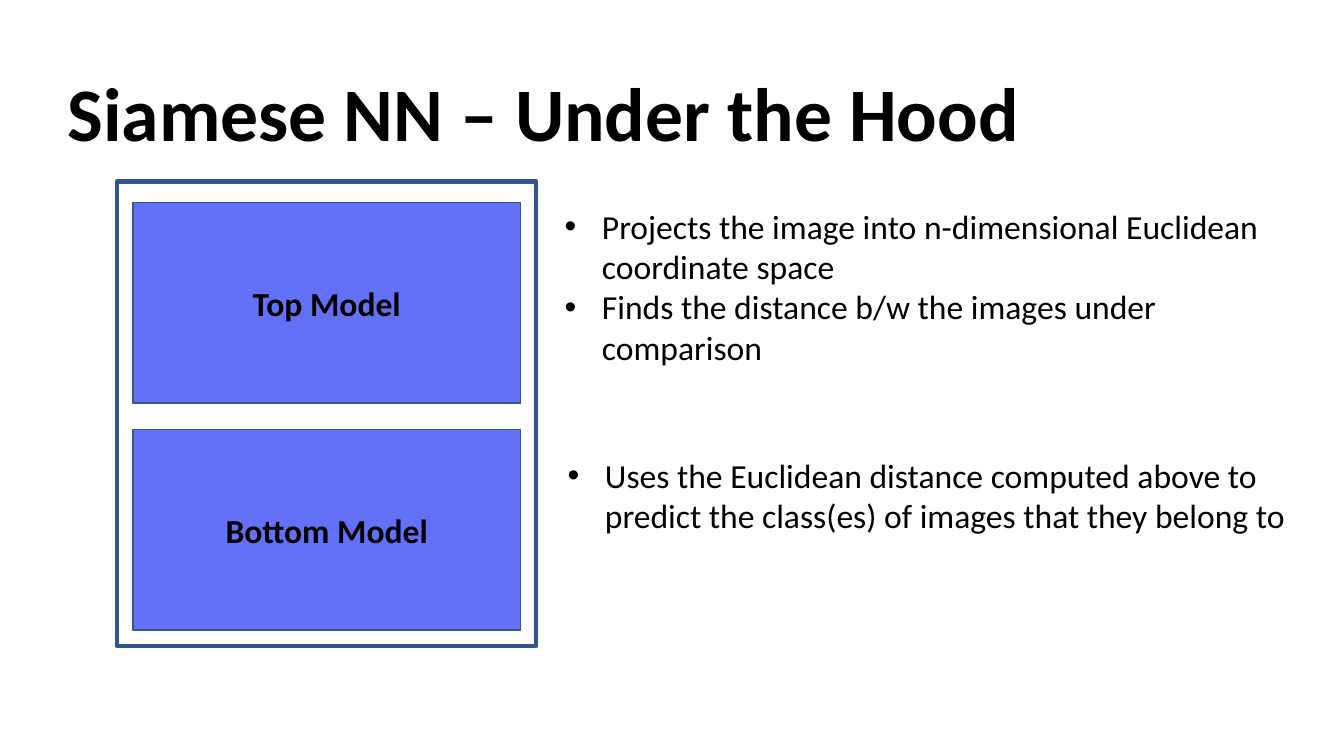
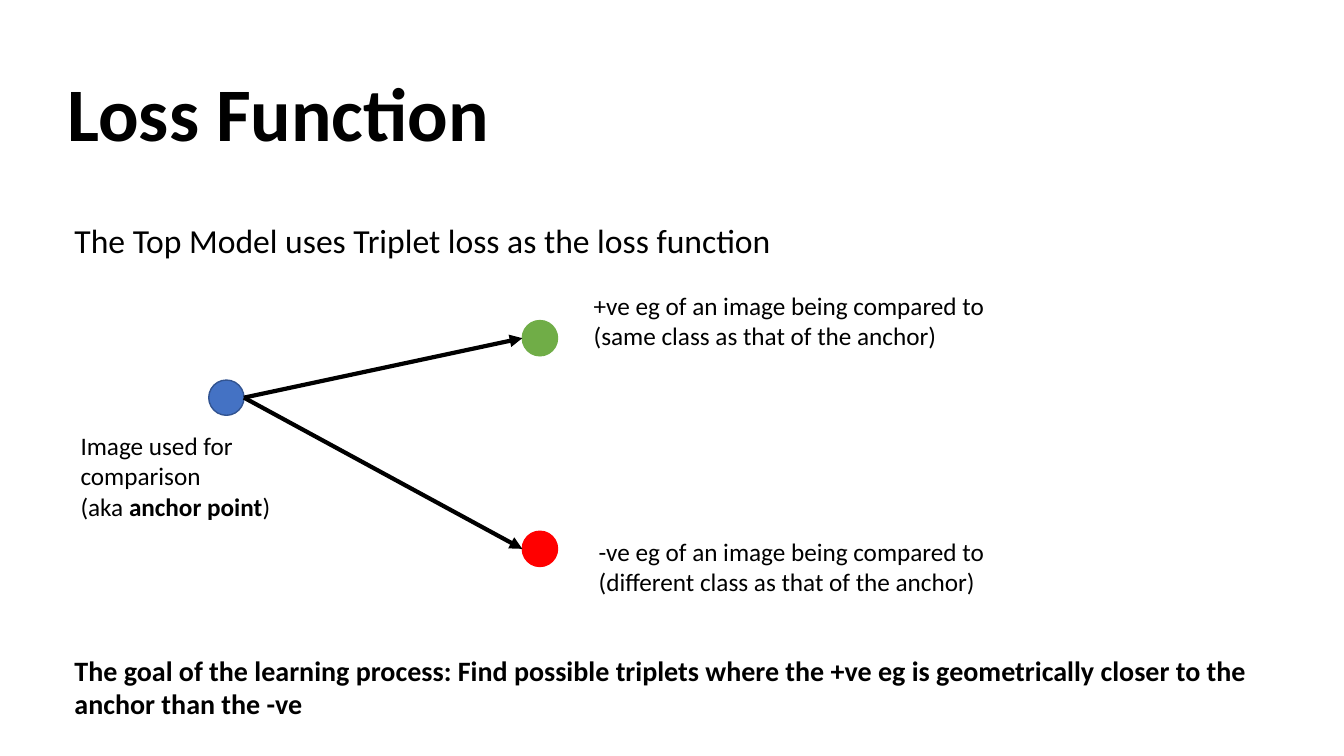
from pptx import Presentation
from pptx.dml.color import RGBColor as Rgb
from pptx.enum.shapes import MSO_CONNECTOR as Conn, MSO_SHAPE as Kind
from pptx.enum.text import MSO_ANCHOR as Anchor, MSO_AUTO_SIZE as Fit, PP_ALIGN as Align
from pptx.oxml.ns import qn
from pptx.util import Inches, Pt
from lxml.etree import SubElement as Sub

HUES = {
    "ink": "000000",
    "edge": "325491",
    "model": "6371F9",
    "anchor": "4472C4",
    "same": "70AD47",
    "other": "FF0000",
}
FACE = "Calibri"
DOT = 0.35


def hue(name):
    return Rgb.from_string(HUES[name])


def style(para, size, bold=False, align=Align.LEFT):
    para.alignment = align
    para.line_spacing = 1
    para.space_before = Pt(0)
    font = para.font
    font.name, font.size, font.bold = FACE, Pt(size), bold
    font.color.rgb = hue("ink")


def place(shape, box):
    shape.left, shape.top, shape.width, shape.height = map(Inches, box)


def write(frame, lines, size, bold=False, bullet=False):
    frame.word_wrap = True
    frame.auto_size = Fit.NONE
    frame.vertical_anchor = Anchor.TOP
    for num, line in enumerate(lines):
        para = frame.paragraphs[0] if num == 0 else frame.add_paragraph()
        if bullet:
            props = para._p.get_or_add_pPr()
            props.set("marL", str(Inches(0.37)))
            props.set("indent", str(-Inches(0.37)))
            Sub(props, qn("a:buFont"), typeface="Arial")
            Sub(props, qn("a:buChar"), char="•")
        for part, strong in [(line, None)] if isinstance(line, str) else line:
            run = para.add_run()
            run.text = part
            if strong:
                run.font.bold = True
        style(para, size, bold)


def start(deck, layout, title):
    slide = deck.slides.add_slide(deck.slide_layouts.get_by_name(layout))
    place(slide.shapes.title, (0.57, 0.6, 12, 1.01))
    write(slide.shapes.title.text_frame, [title], 54, bold=True)
    return slide


def note(slide, box, lines, size, bold=False):
    label = slide.shapes.add_textbox(*map(Inches, box))
    write(label.text_frame, lines, size, bold)


def draw(slide, kind, box, fill, edge, width=1):
    shape = slide.shapes.add_shape(kind, *map(Inches, box))
    shape.shadow.inherit = False
    if fill:
        shape.fill.solid()
        shape.fill.fore_color.rgb = hue(fill)
    else:
        shape.fill.background()
    shape.line.color.rgb = hue(edge)
    shape.line.width = Pt(width)
    return shape


def arrow(slide, tip, end):
    points = map(Inches, (*tip, *end))
    link = slide.shapes.add_connector(Conn.STRAIGHT, *points)
    link.line.color.rgb = hue("ink")
    link.line.width = Pt(3)
    Sub(link.line._get_or_add_ln(), qn("a:tailEnd"), type="triangle")
    Sub(link._element.spPr, qn("a:effectLst"))


def stack(slide, box, names):
    left, top, width, height = box
    draw(slide, Kind.RECTANGLE, box, None, "edge", 3)
    pad, rim, gap = 0.16, 0.21, 0.26
    tall = (height - 0.37 - gap) / len(names)
    for num, name in enumerate(names):
        cell = (left + pad, top + rim + num * (tall + gap), width - 2 * pad, tall)
        model = draw(slide, Kind.RECTANGLE, cell, "model", "edge")
        model.text_frame.text = name
        model.text_frame.vertical_anchor = Anchor.MIDDLE
        style(model.text_frame.paragraphs[0], 24, True, Align.CENTER)


def points(slide, index, box, lines):
    body = slide.placeholders[index]
    place(body, box)
    write(body.text_frame, lines, 24, bullet=True)


def triplet(slide, box):
    left, top, width, height = box
    far = left + width - DOT
    spots = {
        "anchor": (left, top + 0.59, "edge"),
        "same": (far, top, "same"),
        "other": (far, top + height - DOT, "other"),
    }
    for name, (x, y, edge) in spots.items():
        draw(slide, Kind.OVAL, (x, y, DOT, DOT), name, edge)
    x, y, _ = spots["anchor"]
    for name in ("same", "other"):
        arrow(slide, (x + DOT, y + DOT / 2), (far, spots[name][1] + DOT / 2))
    note(slide, (left - 1.37, top + 1.04, 2.45, 1.01),
         ["Image used for comparison",
          [("(aka ", False), ("anchor point", True), (")", False)]], 18)
    note(slide, (far + 0.61, top - 0.35, 4.5, 0.71),
         ["+ve eg of an image being compared to",
          "(same class as that of the anchor)"], 18)
    note(slide, (far + 0.66, top + 2.09, 4.5, 0.71),
         ["-ve eg of an image being compared to",
          "(different class as that of the anchor)"], 18)


def hood(deck):
    slide = start(deck, "Two Content", "Siamese NN – Under the Hood")
    stack(slide, (1.16, 1.8, 4.16, 4.61), ["Top Model", "Bottom Model"])
    points(slide, 1, (5.5, 1.99, 7.73, 1.71),
           ["Projects the image into n-dimensional Euclidean coordinate space",
            "Finds the distance b/w the images under comparison"])
    points(slide, 2, (5.53, 4.46, 7.73, 0.91),
           ["Uses the Euclidean distance computed above to predict "
            "the class(es) of images that they belong to"])


def loss(deck):
    slide = start(deck, "Title Only", "Loss Function")
    note(slide, (0.64, 2.13, 7.81, 0.5),
         ["The Top Model uses Triplet loss as the loss function"], 24)
    triplet(slide, (2.07, 3.18, 3.46, 2.44))
    note(slide, (0.64, 6.43, 12.58, 0.77),
         ["The goal of the learning process: Find possible triplets where the "
          "+ve eg is geometrically closer to the anchor than the -ve"], 20, True)


def main():
    deck = Presentation()
    deck.slide_width, deck.slide_height = Inches(13.33), Inches(7.5)
    hood(deck)
    loss(deck)
    deck.save("out.pptx")


if __name__ == "__main__":
    main()
